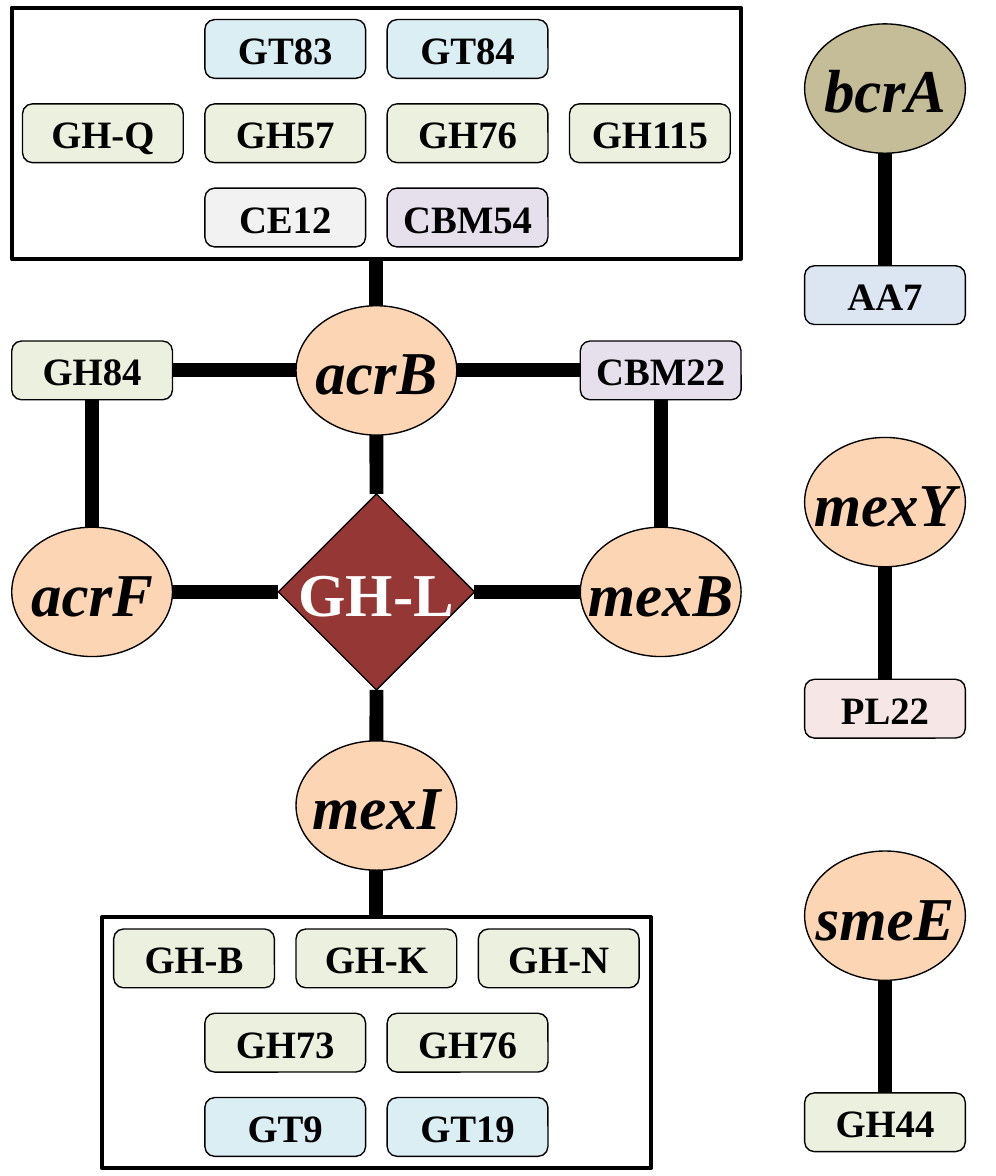
from dataclasses import dataclass

from pptx import Presentation
from pptx.dml.color import RGBColor
from pptx.enum.shapes import MSO_CONNECTOR, MSO_SHAPE
from pptx.enum.text import MSO_ANCHOR, PP_ALIGN
from pptx.oxml import parse_xml
from pptx.oxml.ns import nsdecls
from pptx.util import Cm, Pt


@dataclass(frozen=True)
class Theme:
    font: str = "Times New Roman"
    family_size: int = 28
    gene_size: int = 44
    thin: int = 1
    frame: int = 3
    link: int = 10
    black: str = "000000"
    white: str = "FFFFFF"
    green: str = "EBF1DE"
    aqua: str = "DBEEF4"
    purple: str = "E6E0EC"
    grey: str = "F2F2F2"
    blue: str = "DCE6F2"
    pink: str = "F6E7E6"
    orange: str = "FCD5B5"
    tan: str = "C4BD97"
    red: str = "953735"


THEME = Theme()
TOP, LEFT, BOTTOM, RIGHT = range(4)
SIDE_OFFSETS = {TOP: (0.5, 0), LEFT: (0, 0.5), BOTTOM: (0.5, 1), RIGHT: (1, 0.5)}
LEFT_X, CENTRE_X, RIGHT_X, PAIR_X = 2.35, 9.6, 16.85, 22.57
CARD_STEP, ROW_STEP = 4.65, 2.15


def set_values(target, values):
    for name, value in values.items():
        setattr(target, name, value)


def add_outlined(page, kind, centre, size, fill, line_width):
    (x, y), (width, height) = centre, size
    shape = page.shapes.add_shape(
        kind, Cm(x - width / 2), Cm(y - height / 2), Cm(width), Cm(height)
    )
    shape.shadow.inherit = False
    if fill:
        shape.fill.solid()
        shape.fill.fore_color.rgb = RGBColor.from_string(fill)
    else:
        shape.fill.background()
    shape.line.color.rgb = RGBColor.from_string(THEME.black)
    shape.line.width = Pt(line_width)
    return shape


def add_label(shape, text, size, color=THEME.black, italic=False):
    frame = shape.text_frame
    set_values(frame, {"word_wrap": False, "vertical_anchor": MSO_ANCHOR.MIDDLE})
    para = frame.paragraphs[0]
    para.alignment = PP_ALIGN.CENTER
    span = para.add_run()
    span.text = text
    set_values(span.font, {"name": THEME.font, "size": Pt(size), "bold": True, "italic": italic})
    span.font.color.rgb = RGBColor.from_string(color)


def add_family(page, text, x, y, fill):
    card = add_outlined(page, MSO_SHAPE.ROUNDED_RECTANGLE, (x, y), (4.1, 1.5), fill, THEME.thin)
    add_label(card, text, THEME.family_size)
    return card


def add_gene(page, text, x, y, fill=THEME.orange):
    oval = add_outlined(page, MSO_SHAPE.OVAL, (x, y), (4.1, 3.3), fill, THEME.thin)
    add_label(oval, text, THEME.gene_size, italic=True)
    return oval


def add_hub(page, text, x, y):
    diamond = add_outlined(page, MSO_SHAPE.DIAMOND, (x, y), (5, 5), THEME.red, THEME.thin)
    add_label(diamond, text, THEME.gene_size, THEME.white)
    return diamond


def add_family_group(page, y, width, rows):
    for row_index, row in enumerate(rows):
        row_y = y + (row_index - (len(rows) - 1) / 2) * ROW_STEP
        for column, (text, fill) in enumerate(row):
            x = CENTRE_X + (column - (len(row) - 1) / 2) * CARD_STEP
            add_family(page, text, x, row_y, fill)
    return add_outlined(page, MSO_SHAPE.RECTANGLE, (CENTRE_X, y), (width, 6.4), None, THEME.frame)


def side_point(shape, side):
    across, down = SIDE_OFFSETS[side]
    return int(shape.left + across * shape.width), int(shape.top + down * shape.height)


def add_link(page, start, start_side, end, end_side):
    link = page.shapes.add_connector(
        MSO_CONNECTOR.STRAIGHT, *side_point(start, start_side), *side_point(end, end_side)
    )
    link.line.color.rgb = RGBColor.from_string(THEME.black)
    link.line.width = Pt(THEME.link)
    link._element.spPr.append(parse_xml(f"<a:effectLst {nsdecls('a')}/>"))
    if start.auto_shape_type != MSO_SHAPE.OVAL:
        link.begin_connect(start, start_side)
    if end.auto_shape_type != MSO_SHAPE.OVAL:
        link.end_connect(end, end_side)


def add_network(page):
    green, aqua = THEME.green, THEME.aqua
    upper = add_family_group(page, 3.4, 18.6, [
        [("GT83", aqua), ("GT84", aqua)],
        [("GH-Q", green), ("GH57", green), ("GH76", green), ("GH115", green)],
        [("CE12", THEME.grey), ("CBM54", THEME.purple)],
    ])
    lower = add_family_group(page, 26.6, 14, [
        [("GH-B", green), ("GH-K", green), ("GH-N", green)],
        [("GH73", green), ("GH76", green)],
        [("GT9", aqua), ("GT19", aqua)],
    ])
    gh84 = add_family(page, "GH84", LEFT_X, 9.45, green)
    cbm22 = add_family(page, "CBM22", RIGHT_X, 9.45, THEME.purple)
    acr_b = add_gene(page, "acrB", CENTRE_X, 9.45)
    acr_f = add_gene(page, "acrF", LEFT_X, 15.1)
    mex_b = add_gene(page, "mexB", RIGHT_X, 15.1)
    mex_i = add_gene(page, "mexI", CENTRE_X, 20.55)
    hub = add_hub(page, "GH-L", CENTRE_X, 15.1)
    for start, end in [(upper, acr_b), (acr_b, hub), (hub, mex_i), (mex_i, lower),
                       (gh84, acr_f), (cbm22, mex_b)]:
        add_link(page, start, BOTTOM, end, TOP)
    for start, end in [(gh84, acr_b), (acr_b, cbm22), (acr_f, hub), (hub, mex_b)]:
        add_link(page, start, RIGHT, end, LEFT)


def add_pairs(page):
    pairs = [
        ("bcrA", THEME.tan, "AA7", THEME.blue),
        ("mexY", THEME.orange, "PL22", THEME.pink),
        ("smeE", THEME.orange, "GH44", THEME.green),
    ]
    for index, (gene_name, gene_fill, family_name, family_fill) in enumerate(pairs):
        y = 2.26 + index * 10.55
        gene = add_gene(page, gene_name, PAIR_X, y, gene_fill)
        family = add_family(page, family_name, PAIR_X, y + 5.27, family_fill)
        add_link(page, gene, BOTTOM, family, TOP)


def main():
    deck = Presentation()
    set_values(deck, {"slide_width": Cm(25.4), "slide_height": Cm(30)})
    page = deck.slides.add_slide(deck.slide_layouts[6])
    add_network(page)
    add_pairs(page)
    deck.save("out.pptx")


if __name__ == "__main__":
    main()
